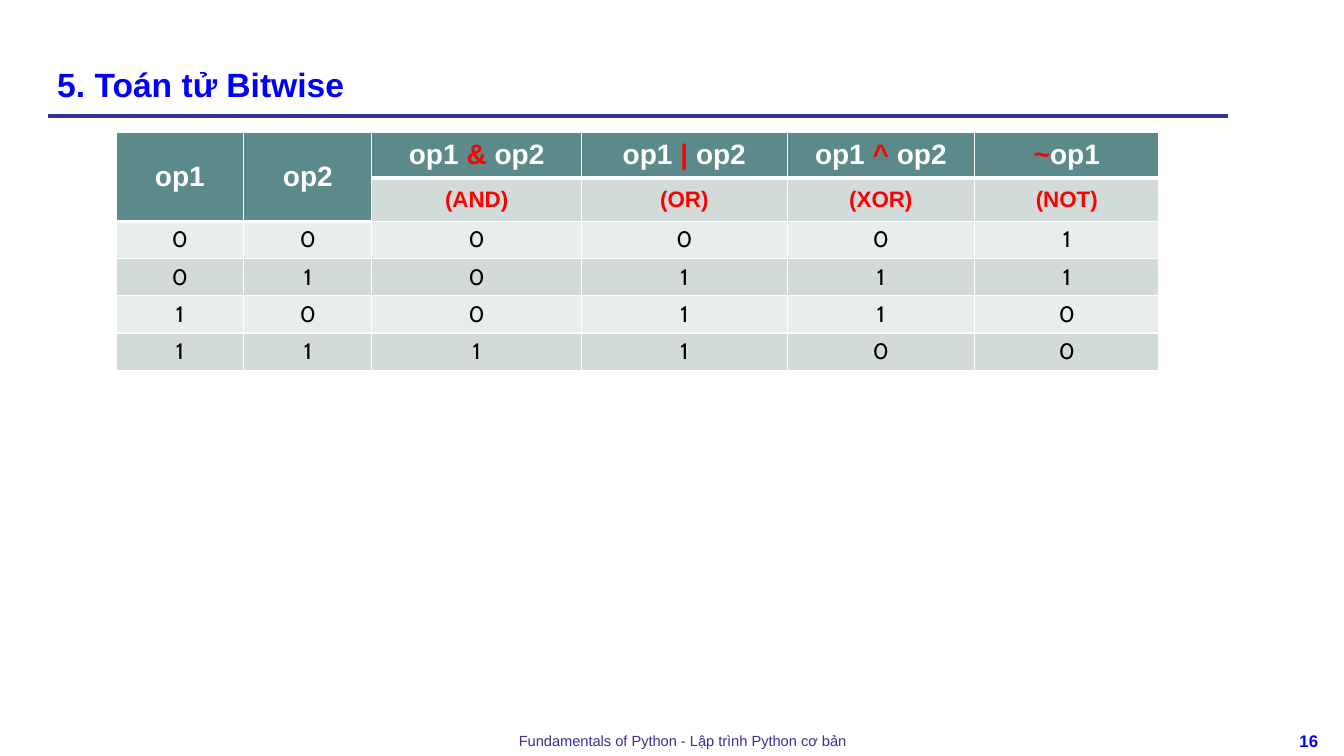
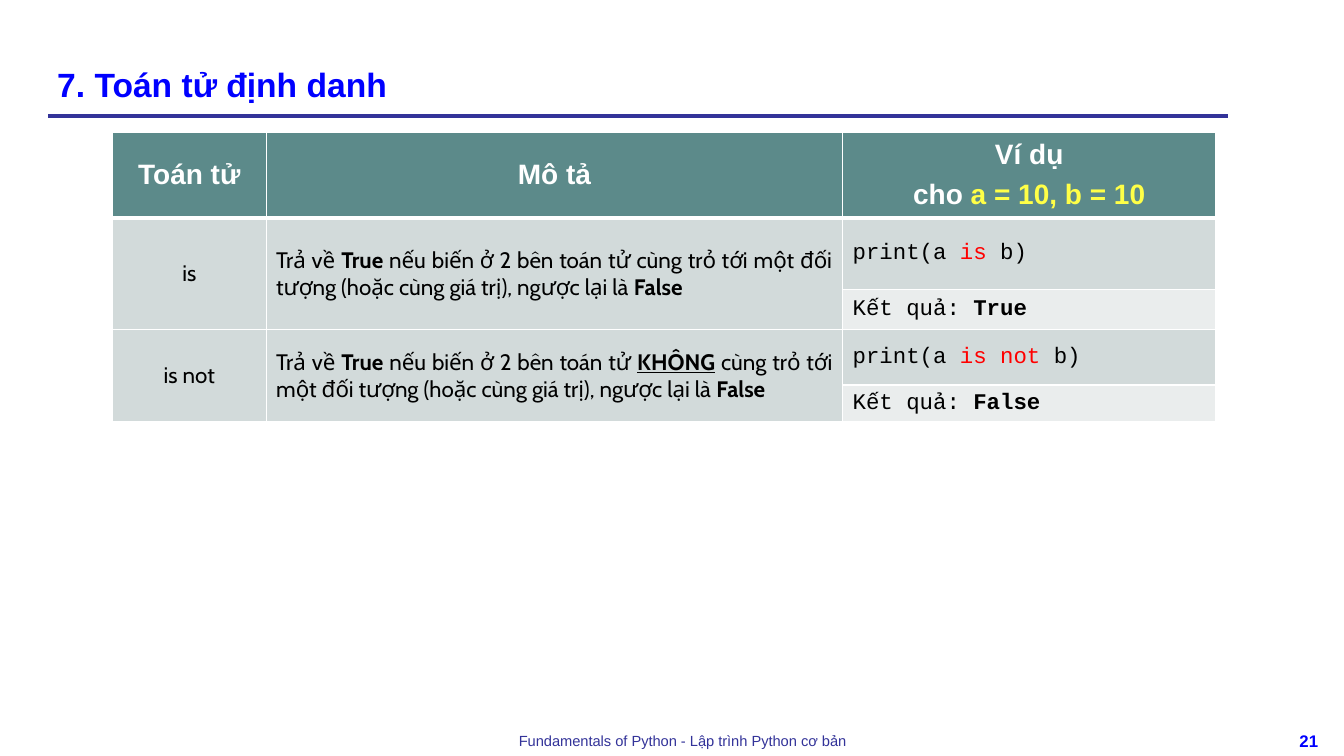
"""Build two slides on Python's bitwise and identity operators."""
from lxml import etree
from pptx import Presentation
from pptx.dml.color import RGBColor
from pptx.enum.shapes import MSO_CONNECTOR
from pptx.enum.text import MSO_ANCHOR, PP_ALIGN
from pptx.oxml.ns import qn
from pptx.util import Pt

STRAIGHT = MSO_CONNECTOR.STRAIGHT
TOP, MIDDLE, BOTTOM = MSO_ANCHOR.TOP, MSO_ANCHOR.MIDDLE, MSO_ANCHOR.BOTTOM
LEFT, CENTER, JUSTIFY = PP_ALIGN.LEFT, PP_ALIGN.CENTER, PP_ALIGN.JUSTIFY

WHITE = RGBColor(0xFF, 0xFF, 0xFF)
BLACK = RGBColor(0x00, 0x00, 0x00)
BLUE = RGBColor(0x00, 0x00, 0xFF)
NAVY = RGBColor(0x33, 0x33, 0x99)
RED = RGBColor(0xFF, 0x00, 0x00)
YELLOW = RGBColor(0xFF, 0xFF, 0x47)
TEAL = RGBColor(0x5C, 0x8A, 0x8A)
MIST = RGBColor(0xD2, 0xDA, 0xDA)
PALE = RGBColor(0xEA, 0xED, 0xED)

# Style: font name, size, colour, bold, alignment
STYLES = {
    "title": ("Arial", 24, BLUE, True, LEFT),
    "footer": ("Arial", 10.5, NAVY, False, CENTER),
    "number": ("Arial", 12, BLUE, True, CENTER),
    "header": ("Arial", 20, WHITE, True, CENTER),
    "label": ("Arial", 16, RED, True, CENTER),
    "value": ("Cabin", 16, BLACK, False, CENTER),
    "prose": ("Cabin", 16, BLACK, False, JUSTIFY),
    "code": ("Courier New", 16, BLACK, False, LEFT),
}
FOOTER = "Fundamentals of Python - Lập trình Python cơ bản"
TABLE_TOP = 94.3
HEADER_GAP = 6
RULE_WIDTH, HEADER_RULE_WIDTH = 1, 3

RED_MARK = {"color": RED}
YELLOW_MARK = {"color": YELLOW}
BOLD_MARK = {"bold": True}
UNDERLINE_MARK = {"bold": True, "underline": True}

TRUTH_ROWS = ["000001", "010111", "100110", "111100"]
RETURNS = [("Trả về ", {}), ("True", BOLD_MARK)]
OTHERWISE = [
    (" cùng trỏ tới một đối tượng (hoặc cùng giá trị), ngược lại là ", {}),
    ("False", BOLD_MARK),
]


def one_line(style, *spans):
    return style, [[span if isinstance(span, tuple) else (span, {}) for span in spans]]


SLIDES = [
    {
        "title": "5. Toán tử Bitwise",
        "number": "16",
        "left": 82.8,
        "columns": [91.4, 91.4, 149.8, 146.9, 133.9, 131.8],
        "heights": [32.6, 29, 26.6, 26.6, 26.6, 26.6],
        "rows": [
            [
                one_line("header", "op1"),
                one_line("header", "op2"),
                one_line("header", "op1 ", ("&", RED_MARK), " op2"),
                one_line("header", "op1 ", ("| ", RED_MARK), "op2"),
                one_line("header", "op1 ", ("^ ", RED_MARK), "op2"),
                one_line("header", ("~", RED_MARK), "op1"),
            ],
            [None, None]
            + [one_line("label", f"({name})") for name in ("AND", "OR", "XOR", "NOT")],
        ]
        + [[one_line("value", digit) for digit in digits] for digits in TRUTH_ROWS],
    },
    {
        "title": "7. Toán tử định danh",
        "number": "21",
        "left": 80.3,
        "columns": [109.8, 411.8, 266.6],
        "heights": [58, 51, 28.8, 39.6, 26.2],
        "rows": [
            [
                one_line("header", "Toán tử"),
                one_line("header", "Mô tả"),
                (
                    "header",
                    [[("Ví dụ", {})], [("cho ", {}), ("a = 10, b = 10", YELLOW_MARK)]],
                ),
            ],
            [
                one_line("value", "is"),
                one_line("prose", *RETURNS, " nếu biến ở 2 bên toán tử", *OTHERWISE),
                one_line("code", "print(a ", ("is", RED_MARK), " b)"),
            ],
            [None, None, one_line("code", "Kết quả: ", ("True", BOLD_MARK))],
            [
                one_line("value", "is not"),
                one_line(
                    "prose",
                    *RETURNS,
                    " nếu biến ở 2 bên toán tử ",
                    ("KHÔNG", UNDERLINE_MARK),
                    *OTHERWISE,
                ),
                one_line("code", "print(a ", ("is not", RED_MARK), " b)"),
            ],
            [None, None, one_line("code", "Kết quả: ", ("False", BOLD_MARK))],
        ],
    },
]


def write_text(frame, style, lines):
    name, size, color, bold, align = STYLES[style]
    for index, spans in enumerate(lines):
        para = frame.add_paragraph() if index else frame.paragraphs[0]
        para.alignment = align
        para.font.name, para.font.size, para.font.bold = name, Pt(size), bold
        para.font.color.rgb = color
        if index < len(lines) - 1:
            para.space_after = Pt(HEADER_GAP)
        for text, marks in spans:
            span = para.add_run()
            span.text = text
            span.font.color.rgb = marks.get("color", color)
            span.font.bold = marks.get("bold", bold)
            if "underline" in marks:
                span.font.underline = True


def add_text(page, style, text, left, top, width, height, anchor=TOP):
    box = page.shapes.add_textbox(Pt(left), Pt(top), Pt(width), Pt(height))
    box.text_frame.word_wrap = True
    box.text_frame.vertical_anchor = anchor
    write_text(box.text_frame, style, [[(text, {})]])


def add_frame(page, title, number):
    rule = page.shapes.add_connector(STRAIGHT, Pt(34.6), Pt(82.8), Pt(877), Pt(82.8))
    rule.line.color.rgb = NAVY
    rule.line.width = Pt(3)
    etree.SubElement(rule.element.spPr, qn("a:effectLst"))
    add_text(page, "footer", FOOTER, 231.8, 519.1, 511.9, 20.9)
    add_text(page, "number", number, 912.2, 518.4, 45.4, 21.6)
    add_text(page, "title", title, 33.8, 15.1, 831.6, 62.6, BOTTOM)


def set_borders(cell, top, bottom):
    properties = cell._tc.get_or_add_tcPr()
    sides = [("L", RULE_WIDTH), ("R", RULE_WIDTH), ("T", top), ("B", bottom)]
    for position, (side, width) in enumerate(sides):
        line = etree.Element(qn(f"a:ln{side}"), w=str(Pt(width)))
        fill = etree.SubElement(line, qn("a:solidFill"))
        etree.SubElement(fill, qn("a:srgbClr"), val=str(WHITE))
        properties.insert(position, line)


def add_grid(page, left, columns, heights, rows):
    table = page.shapes.add_table(
        len(rows), len(columns), Pt(left), Pt(TABLE_TOP), Pt(sum(columns)), Pt(sum(heights))
    ).table
    table.first_row = table.horz_banding = False
    for column, width in zip(table.columns, columns):
        column.width = Pt(width)
    for row, height in zip(table.rows, heights):
        row.height = Pt(height)
    for row_index, row in enumerate(rows):
        for column_index, content in enumerate(row):
            cell = table.cell(row_index, column_index)
            if content is None:
                table.cell(row_index - 1, column_index).merge(cell)
                continue
            style, lines = content
            is_header = style == "header"
            cell.vertical_anchor = MIDDLE
            cell.fill.solid()
            cell.fill.fore_color.rgb = TEAL if is_header else MIST if row_index % 2 else PALE
            write_text(cell.text_frame, style, lines)
            set_borders(
                cell,
                HEADER_RULE_WIDTH if row_index == 1 else RULE_WIDTH,
                HEADER_RULE_WIDTH if is_header else RULE_WIDTH,
            )


def main():
    deck = Presentation()
    deck.slide_width, deck.slide_height = Pt(960), Pt(540)
    for content in SLIDES:
        page = deck.slides.add_slide(deck.slide_layouts[6])
        add_frame(page, content["title"], content["number"])
        add_grid(page, content["left"], content["columns"], content["heights"], content["rows"])
    deck.save("out.pptx")


if __name__ == "__main__":
    main()
